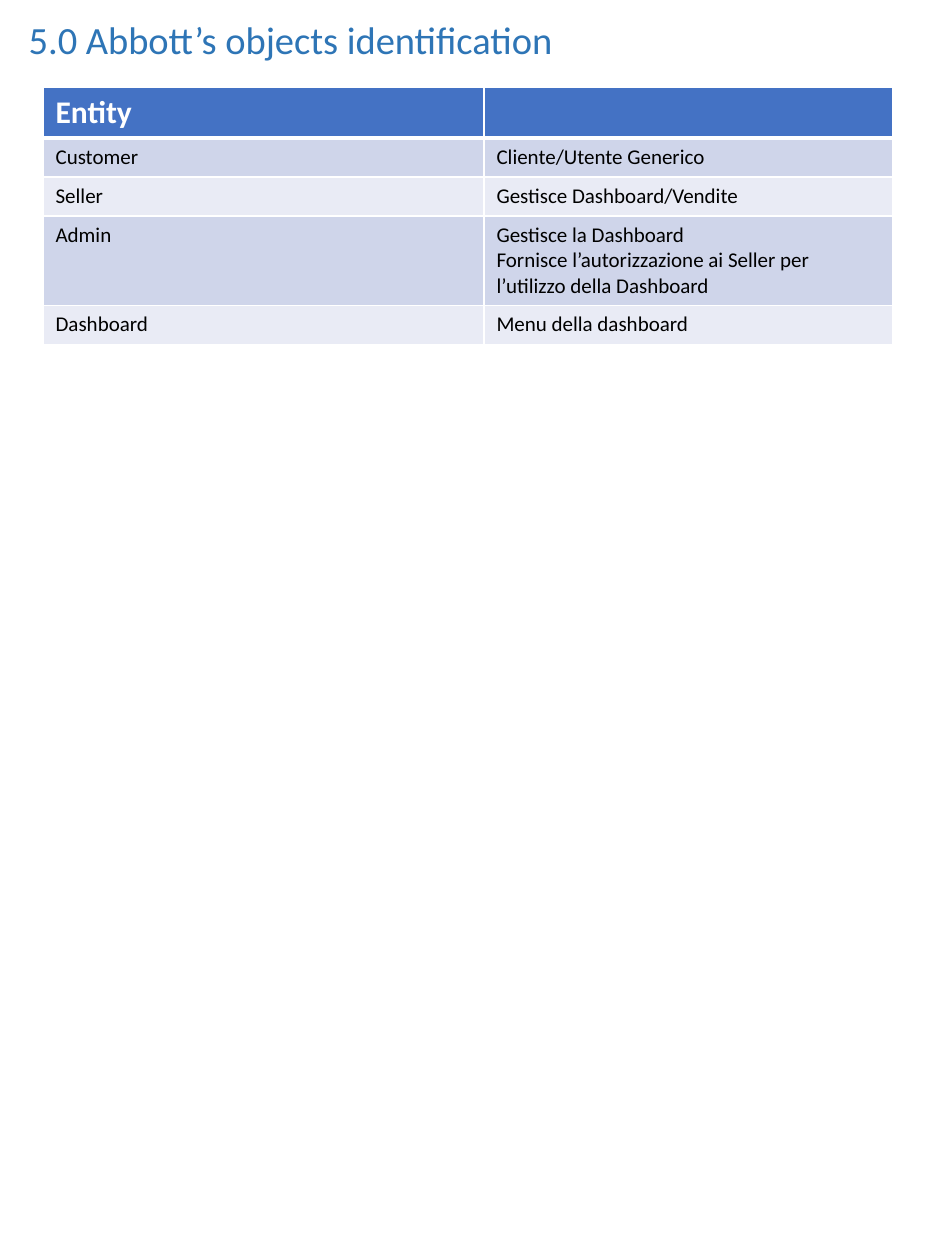
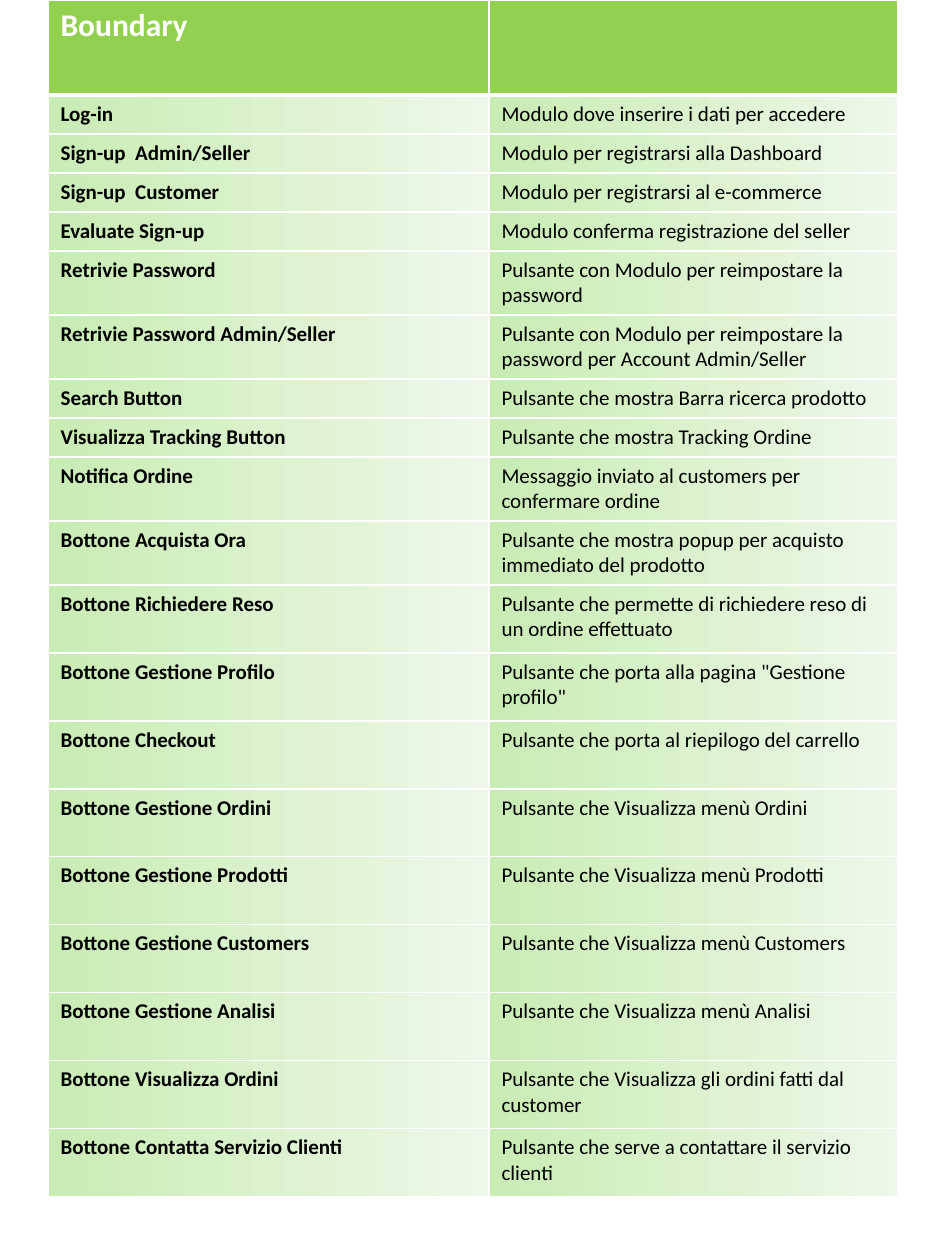
from lxml import etree
from pptx import Presentation
from pptx.dml.color import RGBColor as RGB
from pptx.enum.text import MSO_ANCHOR, PP_ALIGN
from pptx.oxml.ns import qn
from pptx.util import Pt

PX = 914400 // 126
FONT = "Calibri"
C = {"title": "2E75B6", "white": "FFFFFF", "text": "000000",
     "entity": "4472C4", "band": "CFD5EA", "light": "E9EBF5",
     "boundary": "92D050", "green_from": "C9ECB4", "green_to": "EDF8E8"}
COLS = [441, 409]


def put_text(tf, text, size=12, color="text", bold=False):
    for i, line in enumerate(text.split("\n")):
        p = tf.paragraphs[0] if i == 0 else tf.add_paragraph()
        p.alignment = PP_ALIGN.LEFT
        p.font.size = Pt(size)
        if line:
            r = p.add_run()
            r.text = line
            r.font.name, r.font.size, r.font.bold = FONT, Pt(size), bold
            r.font.color.rgb = RGB.from_string(C[color])


def add_grid(s, x, y, header, rows, heights, fills, bold_names=False):
    """Two-column table; each fill is one colour or a left-to-right pair."""
    data = [(header, "")] + rows
    tbl = s.shapes.add_table(len(data), 2, x * PX, y * PX,
                             sum(COLS) * PX, sum(heights) * PX).table
    tbl.first_row = tbl.horz_banding = False
    for col, w in zip(tbl.columns, COLS):
        col.width = w * PX
    for i, (texts, h) in enumerate(zip(data, heights)):
        tbl.rows[i].height = h * PX
        for j, text in enumerate(texts):
            cell = tbl.cell(i, j)
            if i == 0:
                put_text(cell.text_frame, text, size=18, color="white", bold=True)
            else:
                put_text(cell.text_frame, text, bold=bold_names and j == 0)
            # White borders, thicker under the header
            tcPr = cell._tc.get_or_add_tcPr()
            for side in "LRTB":
                thick = (i, side) in [(0, "B"), (1, "T")]
                ln = etree.SubElement(tcPr, qn(f"a:ln{side}"), w=str(Pt(3 if thick else 1)))
                line_fill = etree.SubElement(ln, qn("a:solidFill"))
                etree.SubElement(line_fill, qn("a:srgbClr"), val=C["white"])
            # Fill
            fill = fills[0] if i == 0 else fills[1 + (i - 1) % (len(fills) - 1)]
            if isinstance(fill, tuple):
                cell.fill.gradient()
                cell.fill.gradient_angle = 0
                for stop, name in zip(cell.fill.gradient_stops, fill):
                    stop.color.rgb = RGB.from_string(C[name])
            else:
                cell.fill.solid()
                cell.fill.fore_color.rgb = RGB.from_string(C[fill])


prs = Presentation()
prs.slide_width, prs.slide_height = 945 * PX, 1260 * PX

# Slide 1: title and entities
s = prs.slides.add_slide(prs.slide_layouts[5])
title = s.shapes.title
title.left, title.top, title.width, title.height = [v * PX for v in (16, 10, 630, 97)]
title.text_frame.vertical_anchor = MSO_ANCHOR.TOP
put_text(title.text_frame, "5.0 Abbott’s objects identification", size=22, color="title")

entities = [
    ("Customer", "Cliente/Utente Generico"),
    ("Seller", "Gestisce Dashboard/Vendite"),
    ("Admin", "Gestisce la Dashboard\n"
              "Fornisce l’autorizzazione ai Seller per l’utilizzo della Dashboard"),
    ("Dashboard", "Menu della dashboard"),
]
add_grid(s, 43, 87, "Entity", entities, [49, 39, 39, 88, 39], ["entity", "band", "light"])

# Slide 2: boundaries
s = prs.slides.add_slide(prs.slide_layouts[6])
boundaries = [
    ("Log-in", "Modulo dove inserire i dati per accedere"),
    ("Sign-up  Admin/Seller", "Modulo per registrarsi alla Dashboard"),
    ("Sign-up  Customer", "Modulo per registrarsi al e-commerce"),
    ("Evaluate Sign-up", "Modulo conferma registrazione del seller"),
    ("Retrivie Password", "Pulsante con Modulo per reimpostare la password"),
    ("Retrivie Password Admin/Seller",
     "Pulsante con Modulo per reimpostare la password per Account Admin/Seller"),
    ("Search Button", "Pulsante che mostra Barra ricerca prodotto"),
    ("Visualizza Tracking Button", "Pulsante che mostra Tracking Ordine"),
    ("Notifica Ordine", "Messaggio inviato al customers per confermare ordine"),
    ("Bottone Acquista Ora", "Pulsante che mostra popup per acquisto immediato del prodotto"),
    ("Bottone Richiedere Reso",
     "Pulsante che permette di richiedere reso di un ordine effettuato"),
    ("Bottone Gestione Profilo", 'Pulsante che porta alla pagina "Gestione profilo"'),
    ("Bottone Checkout", "Pulsante che porta al riepilogo del carrello"),
    ("Bottone Gestione Ordini", "Pulsante che Visualizza menù Ordini"),
    ("Bottone Gestione Prodotti", "Pulsante che Visualizza menù Prodotti"),
    ("Bottone Gestione Customers", "Pulsante che Visualizza menù Customers"),
    ("Bottone Gestione Analisi", "Pulsante che Visualizza menù Analisi"),
    ("Bottone Visualizza Ordini", "Pulsante che Visualizza gli ordini fatti dal customer"),
    ("Bottone Contatta Servizio Clienti", "Pulsante che serve a contattare il servizio clienti"),
]
heights = [95] + [39] * 4 + [64] * 2 + [39] * 2 + [64] * 2 + [68] * 9
add_grid(s, 48, 0, "Boundary", boundaries, heights,
         ["boundary", ("green_from", "green_to")], bold_names=True)

prs.save("out.pptx")
